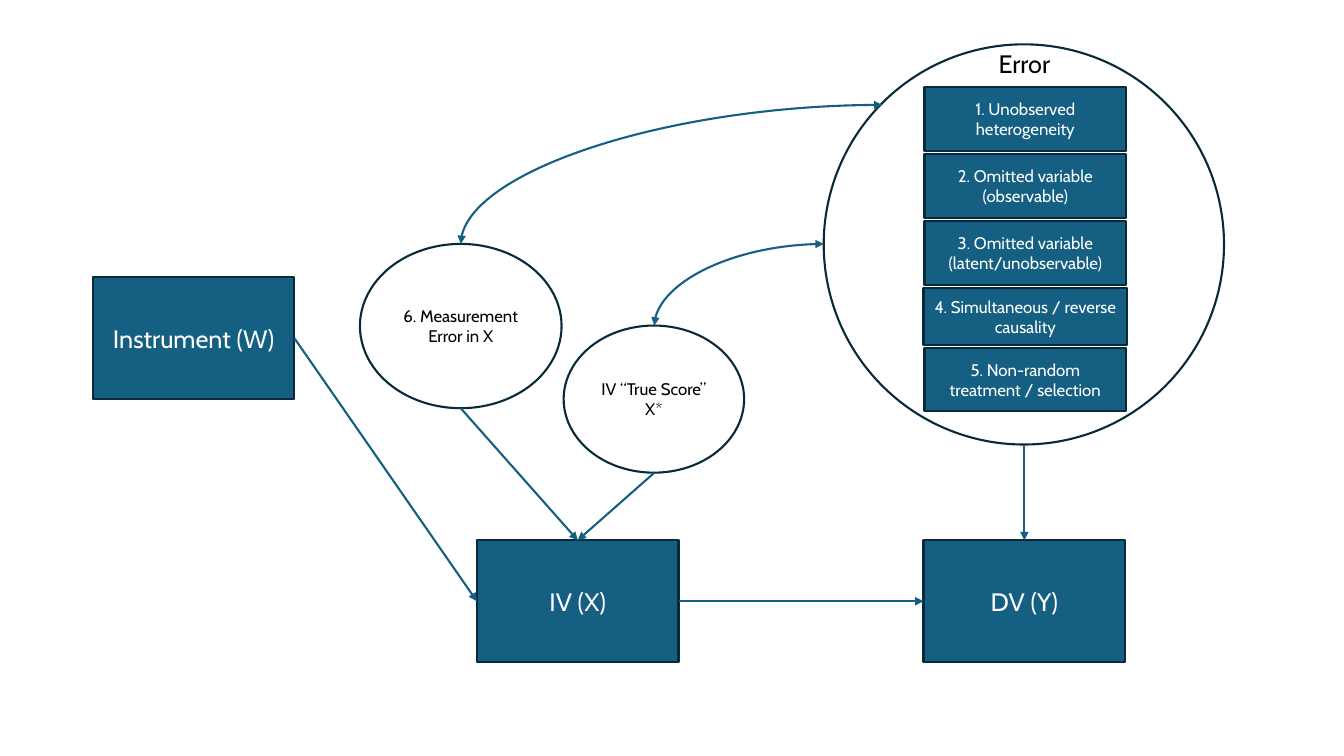
import dataclasses

import lxml.etree
import pptx
import pptx.dml.color
import pptx.enum.shapes
import pptx.enum.text
import pptx.oxml.ns
import pptx.util

Inches = pptx.util.Inches
SHAPE = pptx.enum.shapes.MSO_SHAPE
LINK = pptx.enum.shapes.MSO_CONNECTOR
TOP, LEFT, RIGHT = 0, 1, 3


@dataclasses.dataclass
class Theme:
    font: str = "Cabin"
    blue: str = "156082"
    edge: str = "092A39"
    white: str = "FFFFFF"
    black: str = "000000"
    large: int = 18
    small: int = 12
    line: float = 1.5


def color(code):
    return pptx.dml.color.RGBColor.from_string(code)


def add_tag(parent, name, **attrs):
    lxml.etree.SubElement(parent, pptx.oxml.ns.qn(name), attrs)


class Diagram:
    def __init__(self, slide, theme):
        self.slide = slide
        self.theme = theme

    def set_text(self, shape, text, size, ink):
        frame = shape.text_frame
        frame.word_wrap = True
        frame.vertical_anchor = pptx.enum.text.MSO_ANCHOR.MIDDLE
        frame.text = text
        for para in frame.paragraphs:
            para.alignment = pptx.enum.text.PP_ALIGN.CENTER
            para.font.name = self.theme.font
            para.font.size = pptx.util.Pt(size)
            para.font.color.rgb = color(ink)

    def outline(self, kind, place):
        shape = self.slide.shapes.add_shape(kind, *map(Inches, place))
        shape.shadow.inherit = False
        shape.line.color.rgb = color(self.theme.edge)
        shape.line.width = pptx.util.Pt(self.theme.line)
        return shape

    def box(self, text, place, size):
        shape = self.outline(SHAPE.RECTANGLE, place)
        shape.fill.solid()
        shape.fill.fore_color.rgb = color(self.theme.blue)
        self.set_text(shape, text, size, self.theme.white)
        return shape

    def oval(self, text, place):
        shape = self.outline(SHAPE.OVAL, place)
        shape.fill.background()
        if text:
            self.set_text(shape, text, self.theme.small, self.theme.black)

    def label(self, text, place):
        shape = self.slide.shapes.add_textbox(*map(Inches, place))
        self.set_text(shape, text, self.theme.large, self.theme.black)

    def link(self, kind, start, end):
        line = self.slide.shapes.add_connector(kind, *map(Inches, start + end))
        line.line.color.rgb = color(self.theme.blue)
        line.line.width = pptx.util.Pt(self.theme.line)
        props = line._element.spPr
        add_tag(props, "a:effectLst")
        return line, props

    def arrow(self, start, end, source=None, target=None):
        line, props = self.link(LINK.STRAIGHT, start, end)
        if source:
            line.begin_connect(*source)
        if target:
            line.end_connect(*target)
        add_tag(props.find(pptx.oxml.ns.qn("a:ln")), "a:tailEnd", type="triangle")

    def curve(self, start, end):
        """Leaves start sideways and reaches end from above."""
        line, props = self.link(LINK.CURVE, start, end)
        props.find(pptx.oxml.ns.qn("a:prstGeom")).set("prst", "curvedConnector2")
        for name in ("a:headEnd", "a:tailEnd"):
            add_tag(props.find(pptx.oxml.ns.qn("a:ln")), name, type="triangle")


def main():
    deck = pptx.Presentation()
    deck.slide_width, deck.slide_height = Inches(13.33), Inches(7.5)
    theme = Theme()
    draw = Diagram(deck.slides.add_slide(deck.slide_layouts[6]), theme)

    # Main variables
    tool = draw.box("Instrument (W)", (0.92, 2.75, 2, 1.21), theme.large)
    cause = draw.box("IV (X)", (4.73, 5.36, 2, 1.21), theme.large)
    effect = draw.box("DV (Y)", (9.16, 5.36, 2, 1.21), theme.large)

    # Error circle with its stack of sources
    draw.oval("", (8.17, 0.44, 3.97, 3.97))
    draw.label("Error", (9.16, 0.43, 2, 0.4))
    errors = [
        ("1. Unobserved heterogeneity", 2, 0.64),
        ("2. Omitted variable\n(observable)", 2, 0.63),
        ("3. Omitted variable\n(latent/unobservable)", 2, 0.64),
        ("4. Simultaneous / reverse causality", 2.02, 0.56),
        ("5. Non-random treatment / selection", 2, 0.63),
    ]
    middle, top, gap = 10.17, 0.86, 0.03
    for text, width, height in errors:
        draw.box(text, (middle - width / 2, top, width, height), theme.small)
        top += height + gap

    # Parts of the measured IV
    draw.oval("6. Measurement Error in X", (3.57, 2.42, 2, 1.63))
    draw.oval("IV “True Score”\nX*", (5.59, 3.23, 1.79, 1.46))

    # Direct effects
    draw.arrow((2.92, 3.35), (4.73, 5.97), (tool, RIGHT), (cause, LEFT))
    draw.arrow((6.73, 5.97), (9.16, 5.97), (cause, RIGHT), (effect, LEFT))
    draw.arrow((10.16, 4.41), (10.16, 5.36), target=(effect, TOP))
    for start in ((4.57, 4.05), (6.49, 4.69)):
        draw.arrow(start, (5.73, 5.36), target=(cause, TOP))

    # Links between the error and the parts of the IV
    draw.curve((8.75, 1.04), (4.57, 2.42))
    draw.curve((8.17, 2.42), (6.49, 3.23))

    deck.save("out.pptx")


if __name__ == "__main__":
    main()
